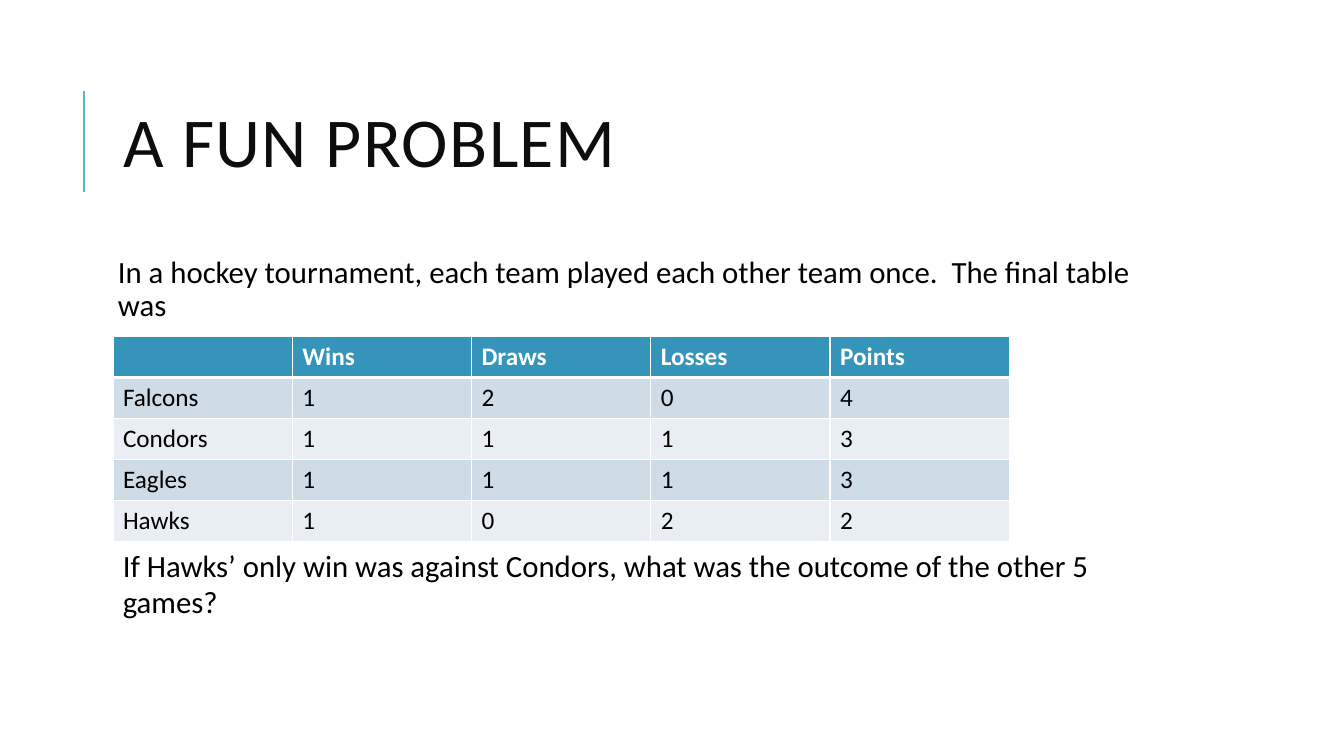
import dataclasses

import lxml.etree
import pptx
import pptx.dml.color
import pptx.enum.shapes
import pptx.enum.text
import pptx.oxml.ns
import pptx.util

Inches = pptx.util.Inches
Pt = pptx.util.Pt


@dataclasses.dataclass(frozen=True)
class Theme:
    font: str = "Calibri"
    title_size: int = 50
    body_size: int = 22
    table_size: int = 18
    title: str = "0D0D0D"
    text: str = "000000"
    white: str = "FFFFFF"
    accent: str = "58B6C0"
    header: str = "3494BA"
    bands: tuple = ("CEDCE7", "E8EEF3")


THEME = Theme()
LEFT = 1.12

STANDINGS = [
    ["", "Wins", "Draws", "Losses", "Points"],
    ["Falcons", "1", "2", "0", "4"],
    ["Condors", "1", "1", "1", "3"],
    ["Eagles", "1", "1", "1", "3"],
    ["Hawks", "1", "0", "2", "2"],
]


def rgb(color):
    return pptx.dml.color.RGBColor.from_string(color)


def add_element(parent, tag, **attributes):
    return lxml.etree.SubElement(parent, pptx.oxml.ns.qn(tag), attributes)


def format_runs(paragraph, size, color, bold=False):
    for run in paragraph.runs:
        run.font.name = THEME.font
        run.font.size = Pt(size)
        run.font.bold = bold
        run.font.color.rgb = rgb(color)


def set_title(slide, text):
    title = slide.shapes.title
    title.left, title.top = Inches(LEFT), Inches(0.64)
    title.width, title.height = Inches(10.63), Inches(1.64)
    frame = title.text_frame
    frame.text = text
    frame.word_wrap = True
    frame.vertical_anchor = pptx.enum.text.MSO_ANCHOR.MIDDLE
    paragraph = frame.paragraphs[0]
    paragraph.alignment = pptx.enum.text.PP_ALIGN.LEFT
    paragraph.line_spacing = 0.8
    format_runs(paragraph, THEME.title_size, THEME.title)
    # Letter spacing, in hundredths of a point
    paragraph.runs[0].font._element.set("spc", "100")


def add_title_rule(slide):
    rule = slide.shapes.add_connector(
        pptx.enum.shapes.MSO_CONNECTOR.STRAIGHT,
        Inches(0.83), Inches(1.9), Inches(0.83), Inches(0.9))
    rule.line.color.rgb = rgb(THEME.accent)
    rule.line.width = Pt(1.5)
    add_element(rule._element.spPr, "a:effectLst")


def add_text(slide, text, top, width, height):
    box = slide.shapes.add_textbox(
        Inches(LEFT), Inches(top), Inches(width), Inches(height))
    frame = box.text_frame
    frame.word_wrap = True
    frame.text = text
    format_runs(frame.paragraphs[0], THEME.body_size, THEME.text)
    return frame


def add_introduction(slide, text):
    frame = add_text(slide, text, 2.5, 10.63, 0.84)
    frame.margin_left = frame.margin_right = Inches(0.05)
    frame.margin_top = frame.margin_bottom = Inches(0.05)
    paragraph = frame.paragraphs[0]
    paragraph.line_spacing = 0.9
    paragraph.space_before = Pt(12)
    paragraph.space_after = Pt(2)


def set_borders(cell, widths):
    properties = cell._tc.get_or_add_tcPr()
    for position, (side, width) in enumerate(widths.items()):
        line = lxml.etree.Element(
            pptx.oxml.ns.qn(f"a:{side}"), {"w": str(Pt(width))})
        fill = add_element(line, "a:solidFill")
        add_element(fill, "a:srgbClr", val=THEME.white)
        # Borders come before the fill in the cell properties
        properties.insert(position, line)


def add_standings(slide, rows):
    column_count = len(rows[0])
    table = slide.shapes.add_table(
        len(rows), column_count, Inches(LEFT), Inches(3.34),
        Inches(8.89), Inches(2.03)).table
    for row_index, values in enumerate(rows):
        is_header = row_index == 0
        fill = THEME.header if is_header else THEME.bands[(row_index - 1) % 2]
        color = THEME.white if is_header else THEME.text
        widths = {"lnL": 1, "lnR": 1,
                  "lnT": 3 if row_index == 1 else 1,
                  "lnB": 3 if is_header else 1}
        for column_index, value in enumerate(values):
            cell = table.cell(row_index, column_index)
            cell.text_frame.text = value
            format_runs(cell.text_frame.paragraphs[0],
                        THEME.table_size, color, bold=is_header)
            cell.fill.solid()
            cell.fill.fore_color.rgb = rgb(fill)
            set_borders(cell, widths)


def main():
    presentation = pptx.Presentation()
    presentation.slide_width = Inches(13.33)
    presentation.slide_height = Inches(7.5)
    title_only = presentation.slide_layouts[5]
    slide = presentation.slides.add_slide(title_only)

    # Heading
    add_title_rule(slide)
    set_title(slide, "A FUN PROBLEM")

    # Problem and final table
    add_introduction(slide, "In a hockey tournament, each team played each "
                            "other team once.  The final table was")
    add_standings(slide, STANDINGS)

    # Question
    question = add_text(slide, "If Hawks’ only win was against Condors, what "
                               "was the outcome of the other 5 games?",
                        5.37, 10.73, 0.47)
    question.auto_size = pptx.enum.text.MSO_AUTO_SIZE.SHAPE_TO_FIT_TEXT

    presentation.save("out.pptx")


main()
